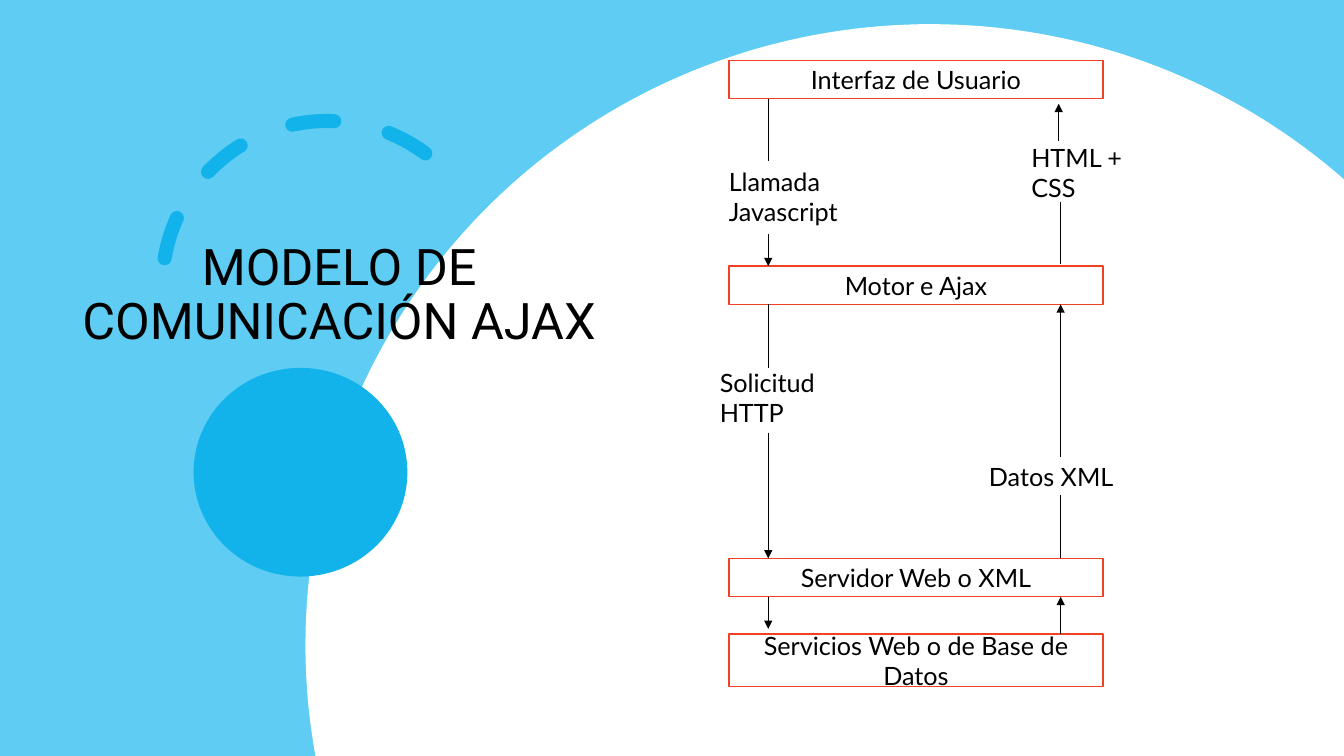
from math import acos, asin, cos, pi, sin

from lxml.etree import SubElement
from pptx import Presentation
from pptx.dml.color import RGBColor
from pptx.enum.dml import MSO_LINE
from pptx.enum.shapes import MSO_CONNECTOR, MSO_SHAPE
from pptx.enum.text import MSO_ANCHOR, PP_ALIGN
from pptx.oxml.ns import qn
from pptx.util import Inches, Pt

SKY = RGBColor(0x5E, 0xCC, 0xF3)
BLUE = RGBColor(0x12, 0xB2, 0xEB)
ORANGE = RGBColor(0xF1, 0x41, 0x24)
BLACK = RGBColor(0, 0, 0)
WHITE = RGBColor(0xFF, 0xFF, 0xFF)

SLIDE_WIDTH, SLIDE_HEIGHT = 13.33, 7.5


def set_text(shape, text, font, size, alignment, anchor):
    frame = shape.text_frame
    frame.text = text
    frame.word_wrap = True
    frame.vertical_anchor = anchor
    paragraph = frame.paragraphs[0]
    paragraph.alignment = alignment
    run_font = paragraph.runs[0].font
    run_font.name = font
    run_font.size = Pt(size)
    run_font.color.rgb = BLACK
    return paragraph


def add_filled(slide, kind, left, top, width, height, color):
    shape = slide.shapes.add_shape(
        kind, Inches(left), Inches(top), Inches(width), Inches(height))
    shape.shadow.inherit = False
    shape.fill.solid()
    shape.fill.fore_color.rgb = color
    shape.line.fill.background()
    return shape


def add_backdrop(slide, left, top, width, height):
    add_filled(slide, MSO_SHAPE.RECTANGLE, left, top, width, height, SKY)
    right, bottom = left + width, top + height
    center_x, center_y = left + 9.23, top + 6.4
    radius_x, radius_y = 6.2, 6.16
    start = pi + asin((bottom - center_y) / radius_y)
    end = acos((right - center_x) / radius_x)
    steps = 120
    angles = [start + (end - start) * step / steps for step in range(steps + 1)]
    points = [(Inches(center_x + radius_x * cos(angle)),
               Inches(center_y - radius_y * sin(angle))) for angle in angles]
    builder = slide.shapes.build_freeform(*points[0], scale=1.0)
    builder.add_line_segments(
        points[1:] + [(Inches(right), Inches(bottom))], close=True)
    disc = builder.convert_to_shape()
    disc.shadow.inherit = False
    disc.fill.solid()
    disc.fill.fore_color.rgb = WHITE
    disc.line.fill.background()


def add_title(slide, left, top, width, height):
    title = slide.shapes.title
    title.left, title.top = Inches(left), Inches(top)
    title.width, title.height = Inches(width), Inches(height)
    paragraph = set_text(title, "MODELO DE COMUNICACIÓN AJAX", "Roboto", 36,
                         PP_ALIGN.CENTER, MSO_ANCHOR.BOTTOM)
    paragraph.line_spacing = 0.9
    title.element.getparent().append(title.element)


def add_ornaments(slide, left, top):
    add_filled(slide, MSO_SHAPE.OVAL, left + 0.31, top + 2.45, 2.12, 2.07, BLUE)
    arc = slide.shapes.add_shape(
        MSO_SHAPE.ARC, Inches(left), Inches(top), Inches(3.27), Inches(3.27))
    arc.shadow.inherit = False
    arc.adjustments[0] = 144.555
    arc.adjustments[1] = 2.278
    arc.rotation = 308.7
    arc.fill.background()
    arc.line.color.rgb = BLUE
    arc.line.width = Pt(10)
    arc.line.dash_style = MSO_LINE.DASH
    arc.line._get_or_add_ln().set("cap", "rnd")


def add_layer(slide, text, left, top, width, height):
    box = add_filled(slide, MSO_SHAPE.RECTANGLE, left, top, width, height, WHITE)
    box.line.color.rgb = ORANGE
    box.line.width = Pt(1)
    set_text(box, text, "Lato", 18, PP_ALIGN.CENTER, MSO_ANCHOR.MIDDLE)


def add_label(slide, text, left, top, width, height):
    label = slide.shapes.add_textbox(
        Inches(left), Inches(top), Inches(width), Inches(height))
    set_text(label, text, "Lato", 18, PP_ALIGN.LEFT, MSO_ANCHOR.TOP)


def add_flow(slide, x, start, end, arrow):
    connector = slide.shapes.add_connector(
        MSO_CONNECTOR.STRAIGHT, Inches(x), Inches(start), Inches(x), Inches(end))
    connector.line.color.rgb = BLACK
    connector.line.width = Pt(0.5)
    properties = connector.element.spPr
    if arrow:
        line = properties.find(qn("a:ln"))
        SubElement(line, qn("a:tailEnd"), type="triangle")
    SubElement(properties, qn("a:effectLst"))


def add_diagram(slide, left, top, width):
    layers = [
        ("Interfaz de Usuario", 0, 0.38),
        ("Motor e Ajax", 2.04, 0.38),
        ("Servidor Web o XML", 4.94, 0.38),
        ("Servicios Web o de Base de Datos", 5.69, 0.52),
    ]
    for text, offset, height in layers:
        add_layer(slide, text, left, top + offset, width, height)

    down, up, reply = 0.39, 3.29, 3.27
    flows = [
        (down, 0.38, 1, False),
        (down, 1.72, 2.04, True),
        (down, 2.42, 3.05, False),
        (down, 3.7, 4.94, True),
        (down, 5.32, 5.64, True),
        (up, 5.69, 5.32, True),
        (up, 4.31, 4.94, False),
        (up, 3.93, 2.42, True),
        (up, 1.4, 2.02, False),
        (reply, 0.8, 0.43, True),
    ]
    for x, start, end, arrow in flows:
        add_flow(slide, left + x, top + start, top + end, arrow)

    labels = [
        ("Llamada Javascript", -0.1, 1, 1.41, 0.71),
        ("Solicitud HTTP", -0.19, 2.99, 1.41, 0.71),
        ("Datos XML", 2.48, 3.93, 1.99, 0.4),
        ("HTML + CSS", 2.9, 0.76, 1.41, 0.71),
    ]
    for text, x, y, label_width, height in labels:
        add_label(slide, text, left + x, top + y, label_width, height)


def main():
    presentation = Presentation()
    presentation.slide_width = Inches(SLIDE_WIDTH)
    presentation.slide_height = Inches(SLIDE_HEIGHT)
    slide = presentation.slides.add_slide(presentation.slide_layouts[5])
    add_backdrop(slide, 0, 0, SLIDE_WIDTH, SLIDE_HEIGHT)
    add_title(slide, 0.15, 2.25, 6.43, 1.28)
    add_ornaments(slide, 1.61, 1.2)
    add_diagram(slide, 7.23, 0.6, 3.71)
    presentation.save("out.pptx")


if __name__ == "__main__":
    main()
